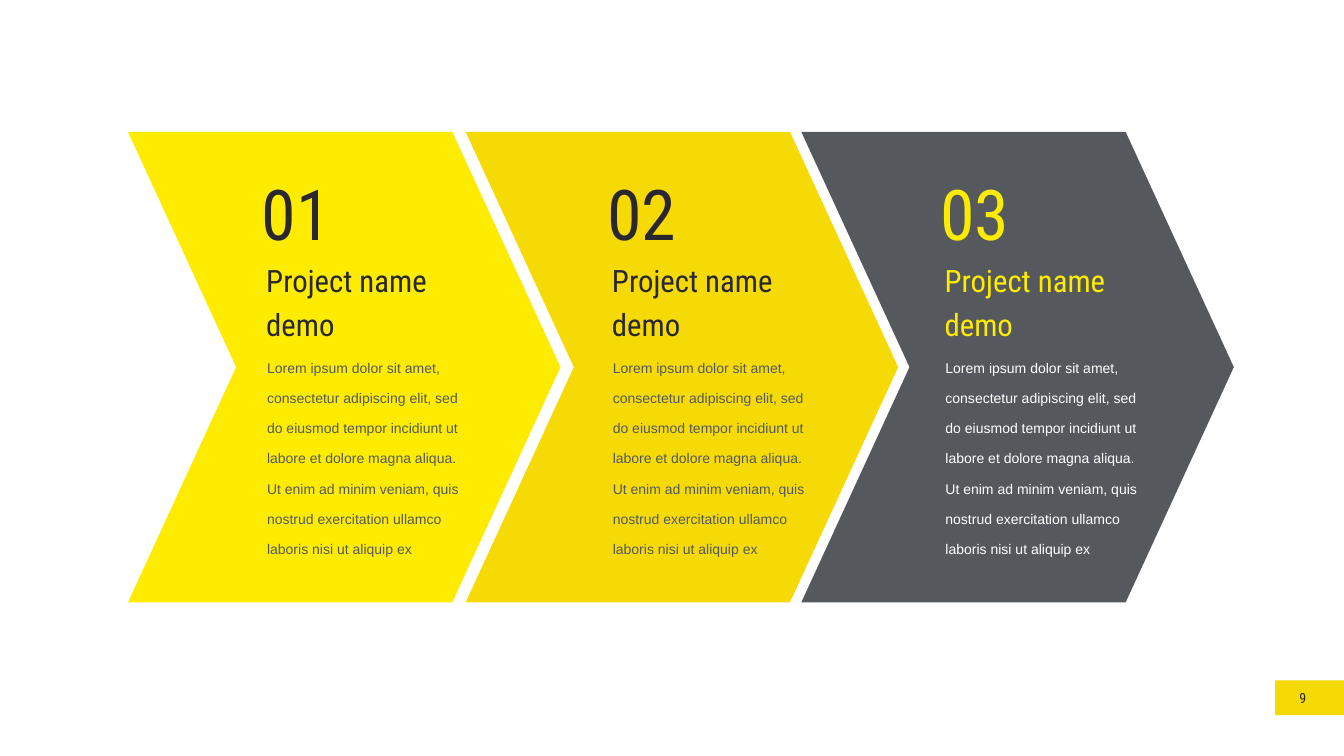
from dataclasses import dataclass

from pptx import Presentation
from pptx.dml.color import RGBColor
from pptx.enum.shapes import MSO_SHAPE
from pptx.enum.text import MSO_ANCHOR, PP_ALIGN
from pptx.util import Pt

CHEVRON = MSO_SHAPE.CHEVRON
RECT = MSO_SHAPE.RECTANGLE
TOP = MSO_ANCHOR.TOP
LEFT = PP_ALIGN.LEFT
RIGHT = PP_ALIGN.RIGHT

COLORS = {
    "lemon": "FDEC00",
    "gold": "F5DA06",
    "slate": "55595E",
    "ink": "2A272E",
    "white": "FEFFFE",
}
HEAD = "Roboto Condensed"
BODY = "Arial"
LOREM = (
    "Lorem ipsum dolor sit amet, consectetur adipiscing elit, sed do eiusmod "
    "tempor incidiunt ut labore et dolore magna aliqua. Ut enim ad minim "
    "veniam, quis nostrud exercitation ullamco laboris nisi ut aliquip ex"
)


@dataclass
class Box:
    x: float
    y: float
    w: float
    h: float


@dataclass
class Style:
    font: str
    size: float
    color: str
    space: float = 1.2
    pad_x: float = 3
    pad_y: float = 3
    align: PP_ALIGN = LEFT


@dataclass
class Step:
    label: str
    x: float
    text_x: float
    fill: str
    head: str
    body: str


STEPS = [
    Step("01", 182.9, 377.3, "lemon", "ink", "slate"),
    Step("02", 665.3, 871.2, "gold", "ink", "slate"),
    Step("03", 1144.8, 1346.4, "slate", "lemon", "white"),
]


def add_form(shapes, kind: MSO_SHAPE, box: Box, fill: str):
    form = shapes.add_shape(kind, Pt(box.x), Pt(box.y), Pt(box.w), Pt(box.h))
    form.shadow.inherit = False
    form.fill.solid()
    form.fill.fore_color.rgb = RGBColor.from_string(COLORS[fill])
    form.line.fill.background()
    return form


def add_text(shapes, text: str, box: Box, style: Style) -> None:
    frame = shapes.add_textbox(
        Pt(box.x), Pt(box.y), Pt(box.w), Pt(box.h)
    ).text_frame
    frame.word_wrap = True
    frame.vertical_anchor = TOP
    frame.margin_left = frame.margin_right = Pt(style.pad_x)
    frame.margin_top = frame.margin_bottom = Pt(style.pad_y)
    para = frame.paragraphs[0]
    para.alignment = style.align
    para.line_spacing = style.space
    run = para.add_run()
    run.text = text
    run.font.name = style.font
    run.font.size = Pt(style.size)
    run.font.color.rgb = RGBColor.from_string(COLORS[style.color])


def add_step(shapes, step: Step) -> None:
    group = shapes.add_group_shape().shapes
    arrow = add_form(group, CHEVRON, Box(step.x, 188.6, 617.8, 671.8), step.fill)
    arrow.adjustments[0] = 0.25
    x = step.text_x
    add_text(group, "Project name demo", Box(x, 360, 262.8, 136),
             Style(HEAD, 44, step.head))
    add_text(group, step.label, Box(x - 6.5, 216.7, 131, 136),
             Style(HEAD, 100, step.head))
    add_text(group, LOREM, Box(x - 2.9, 490.3, 296, 306),
             Style(BODY, 20, step.body, 1.8, 7.2, 3.6))


deck = Presentation()
deck.slide_width = Pt(1920)
deck.slide_height = Pt(1080)
slide = deck.slides.add_slide(deck.slide_layouts[6])
shapes = slide.shapes

add_form(shapes, RECT, Box(1821.6, 972, 98.4, 49.7), "gold")
add_text(shapes, "9", Box(1821.6, 981.4, 47.5, 30.2),
         Style(HEAD, 20, "ink", 1.0, align=RIGHT))
for step in STEPS:
    add_step(shapes, step)

deck.save("out.pptx")
